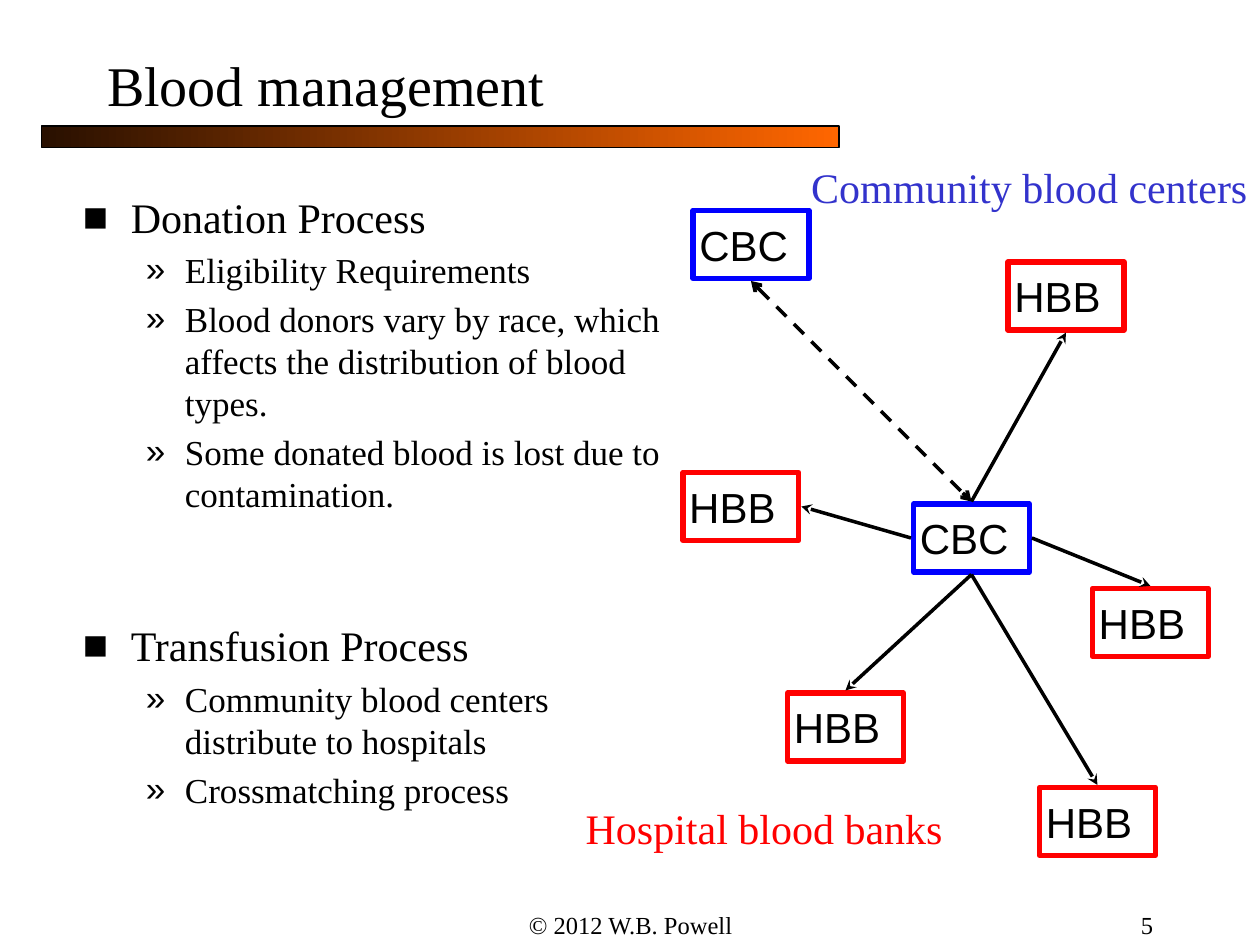
from lxml.etree import SubElement
from pptx import Presentation
from pptx.dml.color import RGBColor
from pptx.enum.dml import MSO_LINE
from pptx.enum.shapes import MSO_CONNECTOR, MSO_SHAPE
from pptx.enum.text import MSO_ANCHOR as Anchor, PP_ALIGN as Align
from pptx.oxml.ns import qn
from pptx.util import Inches, Pt

SERIF, SANS = "Times New Roman", "Arial"
BLACK, BLUE, RED, INDIGO = "000000", "0000FF", "FF0000", "3333CC"
NODE_W, NODE_H, GAP = 0.92, 0.54, 0.02

# bullet, font size, left margin, hanging indent
LEVELS = [("■", 24, 0.38, 0.38), ("»", 20, 0.81, 0.31)]
# level, space before in points, text
OUTLINE = [
    (0, 0, "Donation Process"),
    (1, 4, "Eligibility Requirements"),
    (1, 4, "Blood donors vary by race, which affects the distribution of blood types."),
    (1, 4, "Some donated blood is lost due to contamination."),
    (0, 60, "Transfusion Process"),
    (1, 4, "Community blood centers distribute to hospitals"),
    (1, 4, "Crossmatching process"),
]
CENTER, OTHER_CENTER = (7.25, 4), (5.5, 1.67)
# hospital position, side of the center the arrow leaves, side of the hospital it meets
HOSPITALS = [
    ((6.25, 5.5), "bottom", "top"),
    ((8.25, 6.25), "bottom", "top"),
    ((8, 2.08), "top", "bottom"),
    ((8.67, 4.67), "right", "top"),
    ((5.42, 3.75), "left", "right"),
]


def rgb(value):
    return RGBColor.from_string(value)


def write(paragraph, text, size=24, font=SERIF, color=BLACK, align=Align.LEFT):
    paragraph.alignment = align
    run = paragraph.add_run()
    run.text = text
    run.font.size = Pt(size)
    run.font.name = font
    run.font.color.rgb = rgb(color)


def side_point(corner, side):
    """Point just outside the middle of one side of a node."""
    x, y = corner
    return {
        "top": (x + NODE_W / 2, y - GAP),
        "bottom": (x + NODE_W / 2, y + NODE_H + GAP),
        "left": (x - GAP, y + NODE_H / 2),
        "right": (x + NODE_W + GAP, y + NODE_H / 2),
    }[side]


class SlideBuilder:
    def __init__(self, slide):
        self.slide = slide

    def title(self, text, x, y, w, h):
        title = self.slide.shapes.title
        title.left, title.top, title.width, title.height = map(Inches, (x, y, w, h))
        title.text_frame.vertical_anchor = Anchor.MIDDLE
        write(title.text_frame.paragraphs[0], text, size=32)

    def frame(self, x, y, w, h, wrap=True):
        frame = self.slide.shapes.add_textbox(*map(Inches, (x, y, w, h))).text_frame
        frame.word_wrap = wrap
        return frame

    def label(self, text, x, y, w, h, wrap=False, **style):
        write(self.frame(x, y, w, h, wrap).paragraphs[0], text, **style)

    def rectangle(self, x, y, w, h, line, weight):
        shape = self.slide.shapes.add_shape(MSO_SHAPE.RECTANGLE, *map(Inches, (x, y, w, h)))
        shape.shadow.inherit = False
        shape.fill.background()
        shape.line.color.rgb = rgb(line)
        shape.line.width = Pt(weight)
        return shape

    def gradient_bar(self, x, y, w, h, colors):
        fill = self.rectangle(x, y, w, h, BLACK, 0.75).fill
        fill.gradient()
        fill.gradient_angle = 0
        for position, (stop, color) in enumerate(zip(fill.gradient_stops, colors)):
            stop.position = position
            stop.color.rgb = rgb(color)

    def node(self, text, corner, color):
        frame = self.rectangle(*corner, NODE_W, NODE_H, color, 3).text_frame
        frame.margin_left = frame.margin_right = Inches(0.05)
        frame.margin_top = frame.margin_bottom = Inches(0.05)
        frame.vertical_anchor = Anchor.MIDDLE
        write(frame.paragraphs[0], text, font=SANS)

    def arrow(self, start, end, tail="stealth", head=None, dashed=False):
        connector = self.slide.shapes.add_connector(
            MSO_CONNECTOR.STRAIGHT, *map(Inches, (*start, *end)))
        line = connector.line
        line.color.rgb = rgb(BLACK)
        line.width = Pt(2)
        if dashed:
            line.dash_style = MSO_LINE.DASH
        properties = connector._element.spPr
        outline = properties.find(qn("a:ln"))
        for tag, kind in (("a:headEnd", head), ("a:tailEnd", tail)):
            if kind:
                SubElement(outline, qn(tag), type=kind)
        SubElement(properties, qn("a:effectLst"))

    def outline(self, items, x, y, w, h):
        frame = self.frame(x, y, w, h)
        for index, (level, space, text) in enumerate(items):
            paragraph = frame.add_paragraph() if index else frame.paragraphs[0]
            bullet, size, margin, hanging = LEVELS[level]
            paragraph.level = level
            paragraph.space_before = Pt(space)
            properties = paragraph._p.get_or_add_pPr()
            properties.set("marL", str(Inches(margin)))
            properties.set("indent", str(-Inches(hanging)))
            SubElement(properties, qn("a:buFont"), typeface=SANS)
            SubElement(properties, qn("a:buChar"), char=bullet)
            write(paragraph, text, size=size)


def main():
    deck = Presentation()
    deck.slide_width, deck.slide_height = Inches(10), Inches(7.5)
    page = SlideBuilder(deck.slides.add_slide(deck.slide_layouts[5]))

    page.gradient_bar(0.33, 1, 6.33, 0.17, ("291000", "FF6600"))
    page.title("Blood management", 0.75, 0.33, 8.5, 0.67)
    page.outline(OUTLINE, 0.56, 1.47, 5, 5.42)

    page.node("CBC", CENTER, BLUE)
    page.node("CBC", OTHER_CENTER, BLUE)
    for corner, leaves, meets in HOSPITALS:
        page.node("HBB", corner, RED)
        page.arrow(side_point(CENTER, leaves), side_point(corner, meets))
    page.arrow(side_point(OTHER_CENTER, "bottom"), side_point(CENTER, "top"),
               tail="arrow", head="arrow", dashed=True)

    page.label("Community blood centers", 6.34, 1.23, 3.66, 0.5, color=INDIGO)
    page.label("Hospital blood banks", 4.55, 6.32, 3.03, 0.5, color=RED)
    page.label("© 2012 W.B. Powell", 3.42, 7.17, 3.17, 0.33, wrap=True,
               size=14, align=Align.CENTER)
    page.label("5", 7.17, 7.17, 2.08, 0.33, wrap=True, size=14, align=Align.RIGHT)

    deck.save("out.pptx")


if __name__ == "__main__":
    main()
